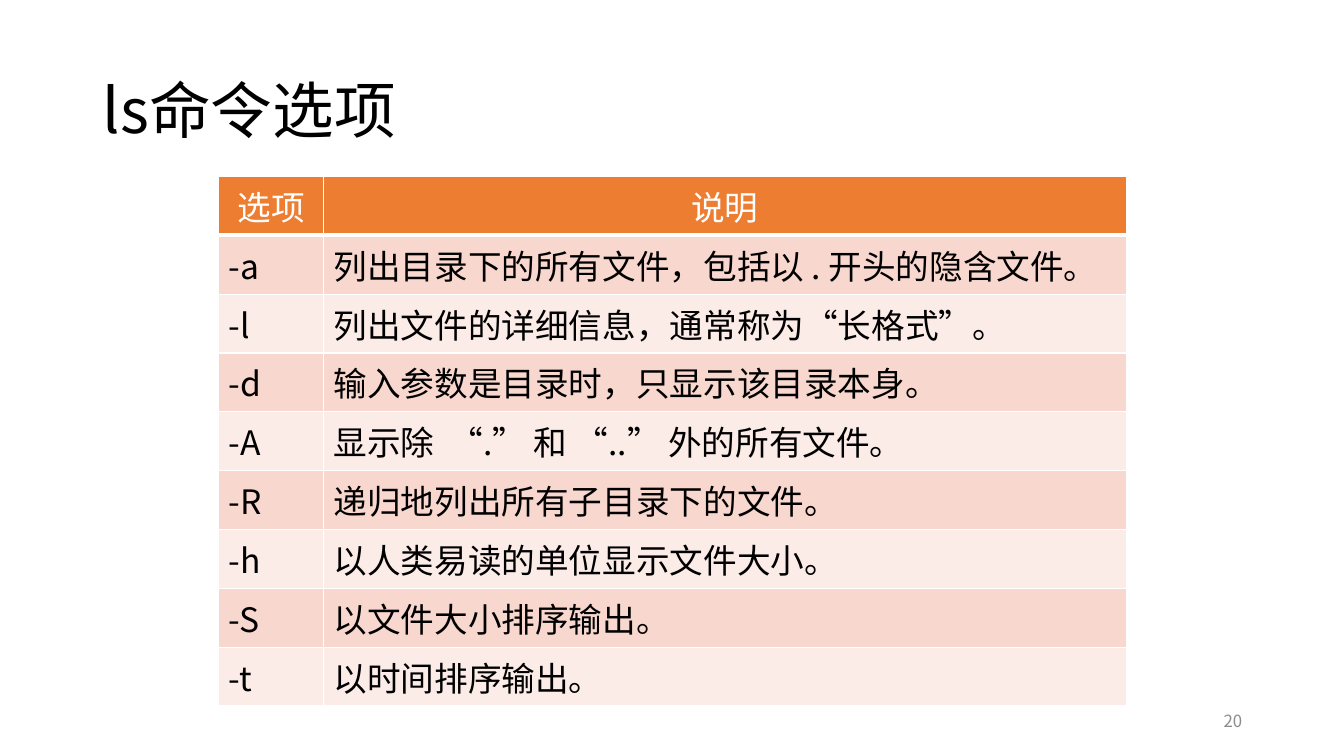
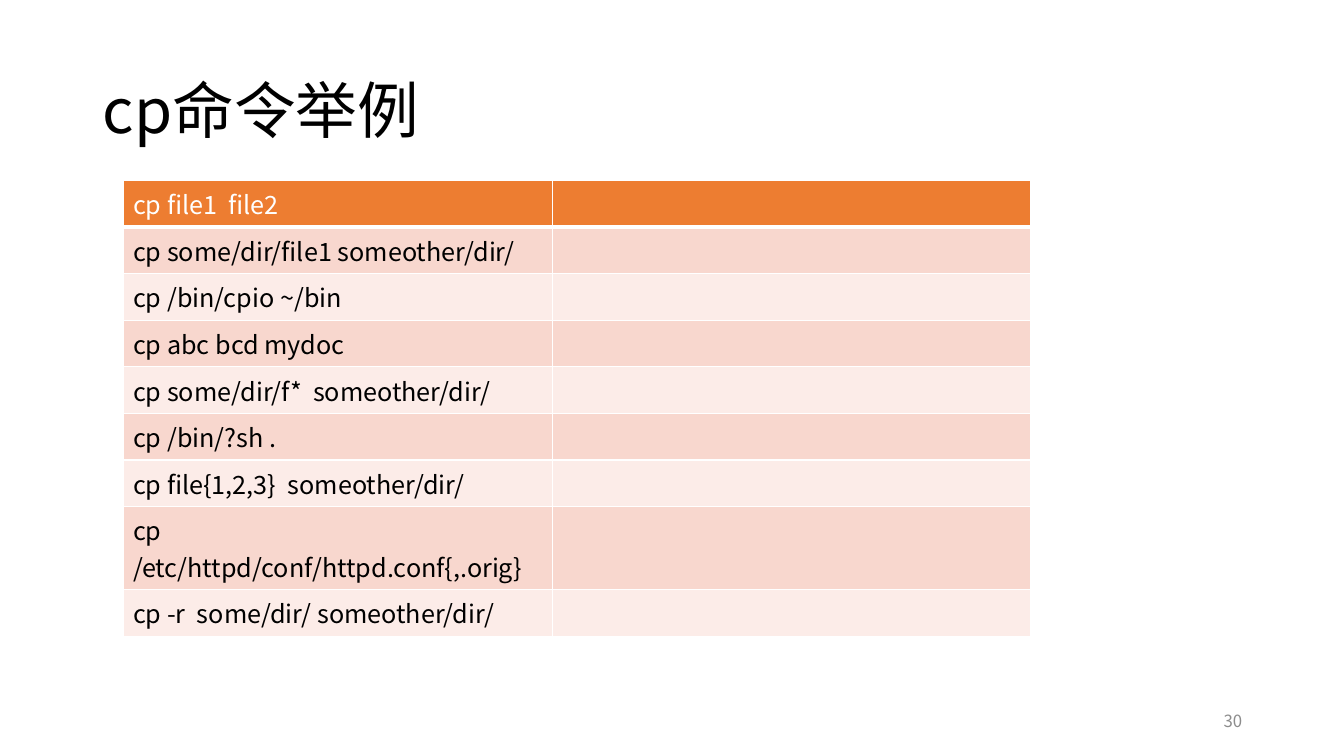
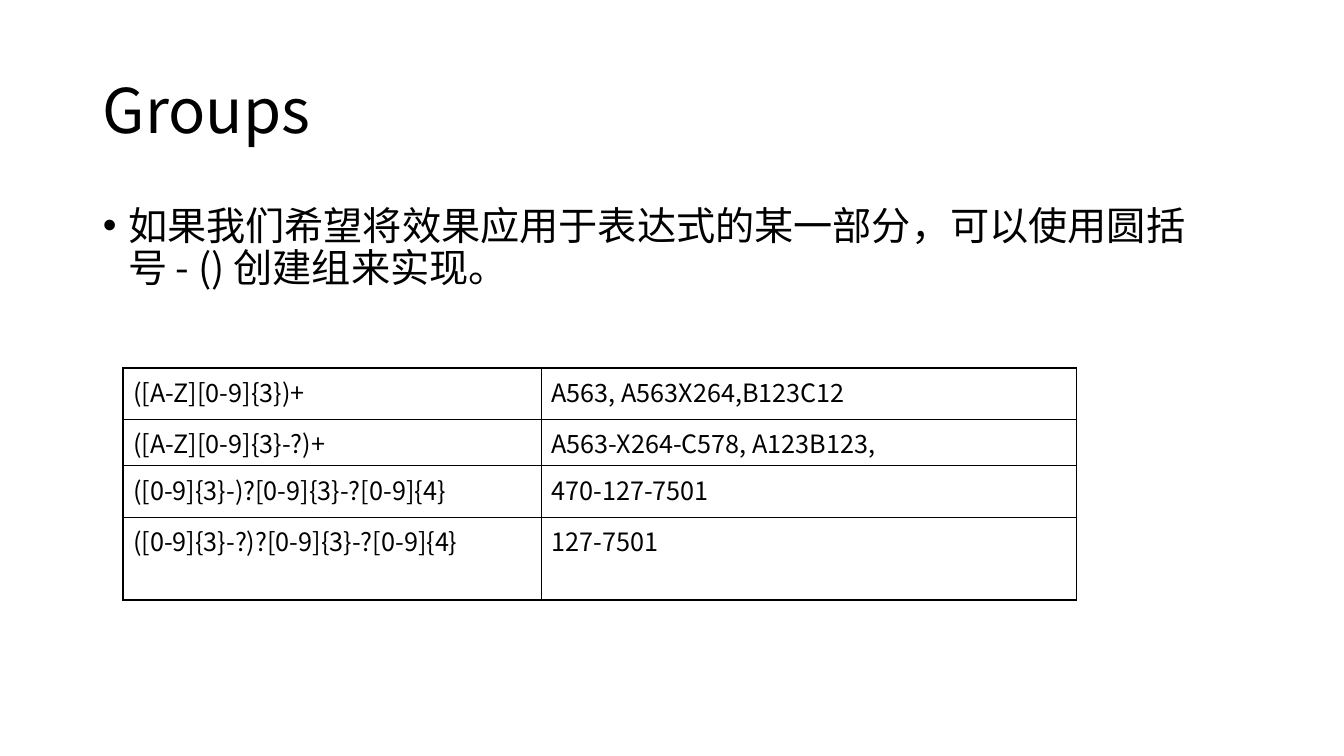
from lxml import etree
from pptx import Presentation
from pptx.dml.color import RGBColor
from pptx.enum import text as t
from pptx.oxml import ns
from pptx.util import Inches, Pt

FONT = "Noto Sans CJK SC"
HUES = {"ink": "000000", "white": "FFFFFF", "head": "ED7D31",
        "dark": "F8D7CE", "light": "FCECE8", "gray": "8C8C8C"}
LEFT, CENTER, RIGHT = t.PP_ALIGN.LEFT, t.PP_ALIGN.CENTER, t.PP_ALIGN.RIGHT


def tint(name):
    return RGBColor.from_string(HUES[name])


def style(para, size, hue="ink", align=LEFT):
    para.alignment = align
    font = para.font
    font.size, font.name, font.bold = Pt(size), FONT, False
    font.color.rgb = tint(hue)
    props = para._p.pPr.find(ns.qn("a:defRPr"))
    etree.SubElement(props, ns.qn("a:ea"), typeface=FONT)


def place(shape, box):
    shape.left, shape.top, shape.width, shape.height = map(Inches, box)


def fill_text(shape, words, anchor):
    frame = shape.text_frame
    frame.word_wrap = True
    frame.auto_size = t.MSO_AUTO_SIZE.NONE
    frame.vertical_anchor = anchor
    frame.text = words
    return frame.paragraphs[0]


def add_slide(deck, title, layout=5):
    slide = deck.slides.add_slide(deck.slide_layouts[layout])
    place(slide.shapes.title, (0.92, 0.4, 11.5, 1.45))
    para = fill_text(slide.shapes.title, title, t.MSO_ANCHOR.MIDDLE)
    para.line_spacing = 0.9
    style(para, 44)
    return slide


def add_page(slide, number):
    box = slide.shapes.add_textbox(*map(Inches, (9.42, 6.95, 3, 0.4)))
    style(fill_text(box, number, t.MSO_ANCHOR.MIDDLE), 12, "gray", RIGHT)


def add_point(slide, words):
    body = slide.placeholders[1]
    place(body, (0.92, 2, 11.5, 4.76))
    para = fill_text(body, words, t.MSO_ANCHOR.TOP)
    para.line_spacing, para.space_before = 0.9, Pt(0)
    props = para._p.get_or_add_pPr()
    props.set("marL", str(Inches(0.25)))
    props.set("indent", str(Inches(-0.25)))
    etree.SubElement(props, ns.qn("a:buChar"), char="•")
    style(para, 28)


def edge(cell, hue, base=1):
    props = cell._tc.get_or_add_tcPr()
    for side in "LRTB":
        width = base if side == "B" else 1
        line = etree.SubElement(props, ns.qn(f"a:ln{side}"), w=str(Pt(width)))
        paint = etree.SubElement(line, ns.qn("a:solidFill"))
        etree.SubElement(paint, ns.qn("a:srgbClr"), val=HUES[hue])


def add_grid(slide, spot, cols, highs, rows, size, banded=True, align=LEFT):
    box = (*spot, sum(cols), sum(highs))
    grid = slide.shapes.add_table(len(rows), len(cols), *map(Inches, box)).table
    grid.first_row = grid.horz_banding = False
    for col, width in zip(grid.columns, cols):
        col.width = Inches(width)
    for i, (row, high, words) in enumerate(zip(grid.rows, highs, rows)):
        row.height = Inches(high)
        head = banded and i == 0
        for cell, word in zip(row.cells, words):
            edge(cell, "white" if banded else "ink", 3 if head else 1)
            if banded:
                cell.fill.solid()
                shade = "head" if head else ("light", "dark")[i % 2]
                cell.fill.fore_color.rgb = tint(shade)
            else:
                cell.fill.background()
            cell.text = word
            style(cell.text_frame.paragraphs[0], size,
                  "white" if head else "ink", align if head else LEFT)


def show_ls(deck):
    slide = add_slide(deck, "ls命令选项")
    rows = [
        ("选项", "说明"),
        ("-a", "列出目录下的所有文件，包括以 . 开头的隐含文件。"),
        ("-l", "列出文件的详细信息，通常称为“长格式”。"),
        ("-d", "输入参数是目录时，只显示该目录本身。"),
        ("-A", "显示除  “.” 和 “..” 外的所有文件。"),
        ("-R", "递归地列出所有子目录下的文件。"),
        ("-h", "以人类易读的单位显示文件大小。"),
        ("-S", "以文件大小排序输出。"),
        ("-t", "以时间排序输出。"),
    ]
    add_grid(slide, (2.17, 1.75), (1.04, 7.96), [0.58] * 9, rows, 24,
             align=CENTER)
    add_page(slide, "20")


def show_cp(deck):
    slide = add_slide(deck, "cp命令举例")
    calls = [
        "cp file1  file2",
        "cp some/dir/file1 someother/dir/",
        "cp /bin/cpio ~/bin",
        "cp abc bcd mydoc",
        "cp some/dir/f*  someother/dir/",
        "cp /bin/?sh .",
        "cp file{1,2,3}  someother/dir/",
        "cp /etc/httpd/conf/httpd.conf{,.orig}",
        "cp -r  some/dir/ someother/dir/",
    ]
    highs = [0.46] * 7 + [0.82, 0.46]
    add_grid(slide, (1.22, 1.79), (4.26, 4.74), highs,
             [(call, "") for call in calls], 18)
    add_page(slide, "30")


def show_groups(deck):
    slide = add_slide(deck, "Groups", 1)
    add_point(slide, "如果我们希望将效果应用于表达式的某一部分，"
                     "可以使用圆括号 - () 创建组来实现。")
    rows = [
        ("([A-Z][0-9]{3})+", "A563, A563X264,B123C12"),
        ("([A-Z][0-9]{3}-?)+", "A563-X264-C578, A123B123,"),
        ("([0-9]{3}-)?[0-9]{3}-?[0-9]{4}", "470-127-7501"),
        ("([0-9]{3}-?)?[0-9]{3}-?[0-9]{4}", "127-7501"),
    ]
    add_grid(slide, (1.22, 3.65), (4.15, 5.31), (0.51, 0.46, 0.51, 0.82),
             rows, 18, banded=False)


def main():
    deck = Presentation()
    deck.slide_width, deck.slide_height = Inches(13.33), Inches(7.5)
    for show in (show_ls, show_cp, show_groups):
        show(deck)
    deck.save("out.pptx")


if __name__ == "__main__":
    main()
